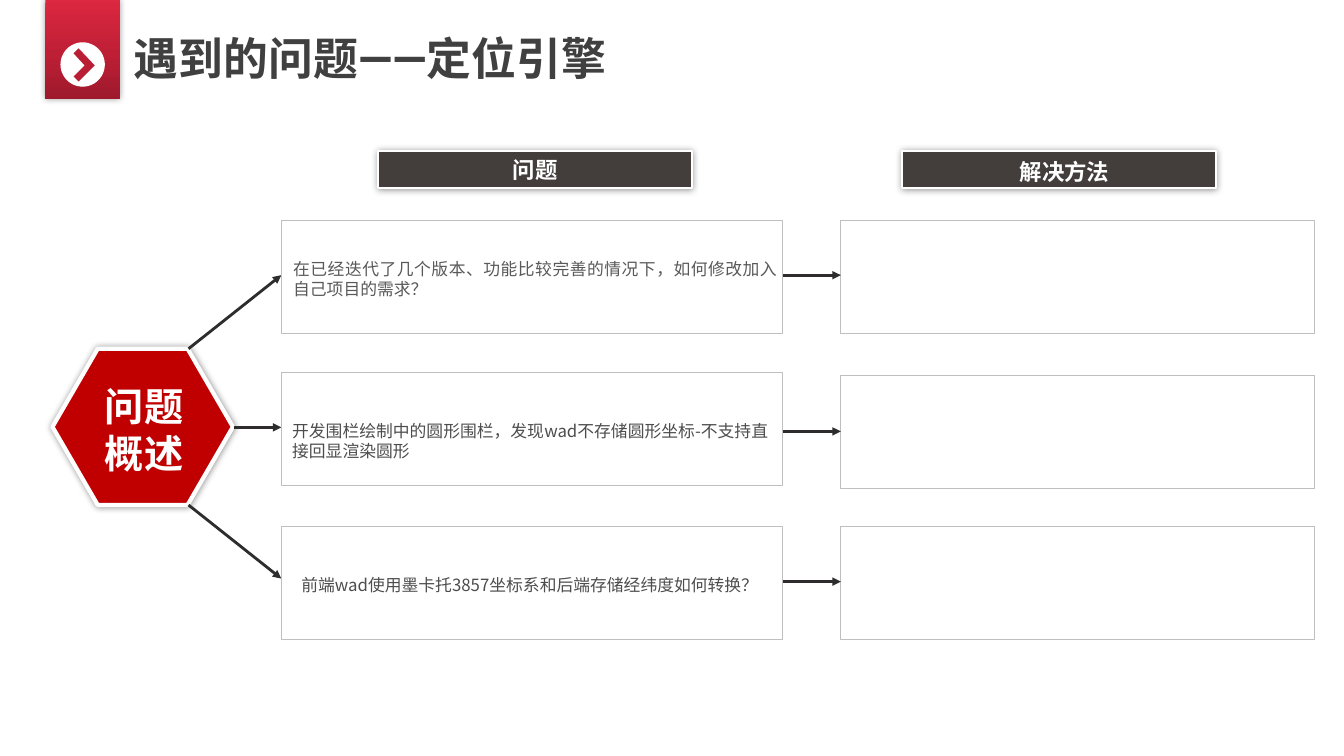
import pptx
import pptx.util
import pptx.dml.color
import pptx.enum.shapes
import pptx.enum.text
import pptx.oxml
import pptx.oxml.ns
from dataclasses import dataclass

TITLE = "遇到的问题——定位引擎"
HUB = "问题概述"
HEADS = [
    ("问题", 3.75, (3.96, 1.5)),
    ("解决方法", 8.95, (9.21, 1.52)),
]
ROWS = [
    dict(text="在已经迭代了几个版本、功能比较完善的情况下，如何修改加入自己项目的需求？",
         at=(2.81, 2.52, 5, 0.5), align="JUSTIFY", ink="595959",
         top=2.19, fix=2.19, start=(1.87, 3.46), end=2.73, link=2.73),
    dict(text="开发围栏绘制中的圆形围栏，发现wad不存储圆形坐标-不支持直接回显渲染圆形",
         at=(2.8, 4.12, 5, 0.5), align="LEFT", ink="4D4D4D",
         top=3.7, fix=3.73, start=(2.32, 4.24), end=4.24, link=4.28),
    dict(text="前端wad使用墨卡托3857坐标系和后端存储经纬度如何转换？",
         at=(2.89, 5.65, 5, 0.3), align="LEFT", ink="4D4D4D",
         top=5.22, fix=5.22, start=(1.87, 5.01), end=5.74, link=5.77),
]
CHEVRON = [(0.78, 0.48), (0.94, 0.65), (0.78, 0.81),
           (0.73, 0.76), (0.84, 0.65), (0.73, 0.53)]


@dataclass(frozen=True)
class Theme:
    white: str = "FFFFFF"
    title: str = "404040"
    bar: str = "433D3C"
    hub: str = "C00000"
    mark: str = "BA1E34"
    edge: str = "BFBFBF"
    line: str = "2E2C2C"
    fade: tuple = ((0, "DC2841"), (53, "BF1F35"), (100, "9E192C"))
    font: str = "Noto Sans CJK SC"
    lead: str = "Roboto"
    big: int = 32
    mid: int = 28
    head: int = 16
    body: int = 12


T = Theme()
Inches = pptx.util.Inches
Pt = pptx.util.Pt
SHAPE = pptx.enum.shapes.MSO_SHAPE
ALIGN = pptx.enum.text.PP_ALIGN
NS = pptx.oxml.ns.nsdecls("a")

deck = pptx.Presentation()
deck.slide_width, deck.slide_height = Inches(13.33), Inches(7.5)
slide = deck.slides.add_slide(deck.slide_layouts[6])
shapes = slide.shapes


def color(code):
    return pptx.dml.color.RGBColor.from_string(code)


def xml(text):
    return pptx.oxml.parse_xml(text)


def paint(shape, fill, line=None, width=0, glow=False):
    shape.shadow.inherit = False
    shape.fill.solid()
    shape.fill.fore_color.rgb = color(fill)
    if line:
        shape.line.color.rgb = color(line)
        shape.line.width = Pt(width)
    else:
        shape.line.fill.background()
    if glow:
        effect = shape._element.spPr.find(pptx.oxml.ns.qn("a:effectLst"))
        effect.append(xml(
            f'<a:outerShdw {NS} blurRad="{Pt(5)}" dist="0" dir="0" algn="ctr" '
            'rotWithShape="0"><a:srgbClr val="000000"><a:alpha val="40000"/>'
            '</a:srgbClr></a:outerShdw>'))
    return shape


def block(kind, at, fill, **style):
    return paint(shapes.add_shape(kind, *map(Inches, at)), fill, **style)


def write(text, at, size, ink, align="LEFT", bold=False, font=T.font):
    frame = shapes.add_textbox(*map(Inches, at)).text_frame
    frame.word_wrap = True
    frame.auto_size = pptx.enum.text.MSO_AUTO_SIZE.SHAPE_TO_FIT_TEXT
    frame.text = text
    para = frame.paragraphs[0]
    para.alignment = ALIGN[align]
    run = para.runs[0]
    run.font.size = Pt(size)
    run.font.bold = bold
    run.font.color.rgb = color(ink)
    run.font.name = font
    run._r.rPr.append(xml(f'<a:ea {NS} typeface="{font}"/>'))


def arrow(start, end):
    line = shapes.add_connector(
        pptx.enum.shapes.MSO_CONNECTOR.STRAIGHT, *map(Inches, start + end))
    line.line.color.rgb = color(T.line)
    line.line.width = Pt(0)
    line.line._ln.append(xml(f'<a:tailEnd {NS} type="triangle"/>'))
    line._element.spPr.append(xml(f'<a:effectLst {NS}/>'))


write(TITLE, (1.23, 0.26, 5.59, 0.64), T.big, T.title, bold=True, font=T.lead)

flag = block(SHAPE.RECTANGLE, (0.45, 0, 0.74, 0.98), T.hub, glow=True)
stops = "".join(f'<a:gs pos="{pos * 1000}"><a:srgbClr val="{code}"/></a:gs>'
                for pos, code in T.fade)
props = flag._element.spPr
props.replace(props.find(pptx.oxml.ns.qn("a:solidFill")), xml(
    f'<a:gradFill {NS} rotWithShape="1"><a:gsLst>{stops}</a:gsLst>'
    '<a:lin ang="5400000" scaled="0"/></a:gradFill>'))
block(SHAPE.OVAL, (0.6, 0.42, 0.44, 0.44), T.white)

points = [(Inches(x), Inches(y)) for x, y in CHEVRON]
pen = shapes.build_freeform(*points[0])
pen.add_line_segments(points[1:], close=True)
paint(pen.convert_to_shape(), T.mark)

hub = block(SHAPE.HEXAGON, (0.52, 3.46, 1.79, 1.55), T.hub,
            line=T.white, width=3, glow=True)
hub.adjustments[0] = 0.29
write(HUB, (0.78, 3.74, 1.3, 1.04), T.mid, T.white, "CENTER", True)

for text, left, spot in HEADS:
    block(SHAPE.RECTANGLE, (left, 1.5, 3.11, 0.37), T.bar,
          line=T.white, width=1.5, glow=True)
    write(text, spot + (2.7, 0.37), T.head, T.white, "CENTER", True)

for row in ROWS:
    arrow(row["start"], (2.79, row["end"]))
    block(SHAPE.RECTANGLE, (2.79, row["top"], 4.97, 1.12), T.white, line=T.edge)
    write(row["text"], row["at"], T.body, row["ink"], row["align"])
    block(SHAPE.RECTANGLE, (8.34, row["fix"], 4.7, 1.12), T.white, line=T.edge)
    arrow((7.77, row["link"]), (8.34, row["link"]))

deck.save("out.pptx")
